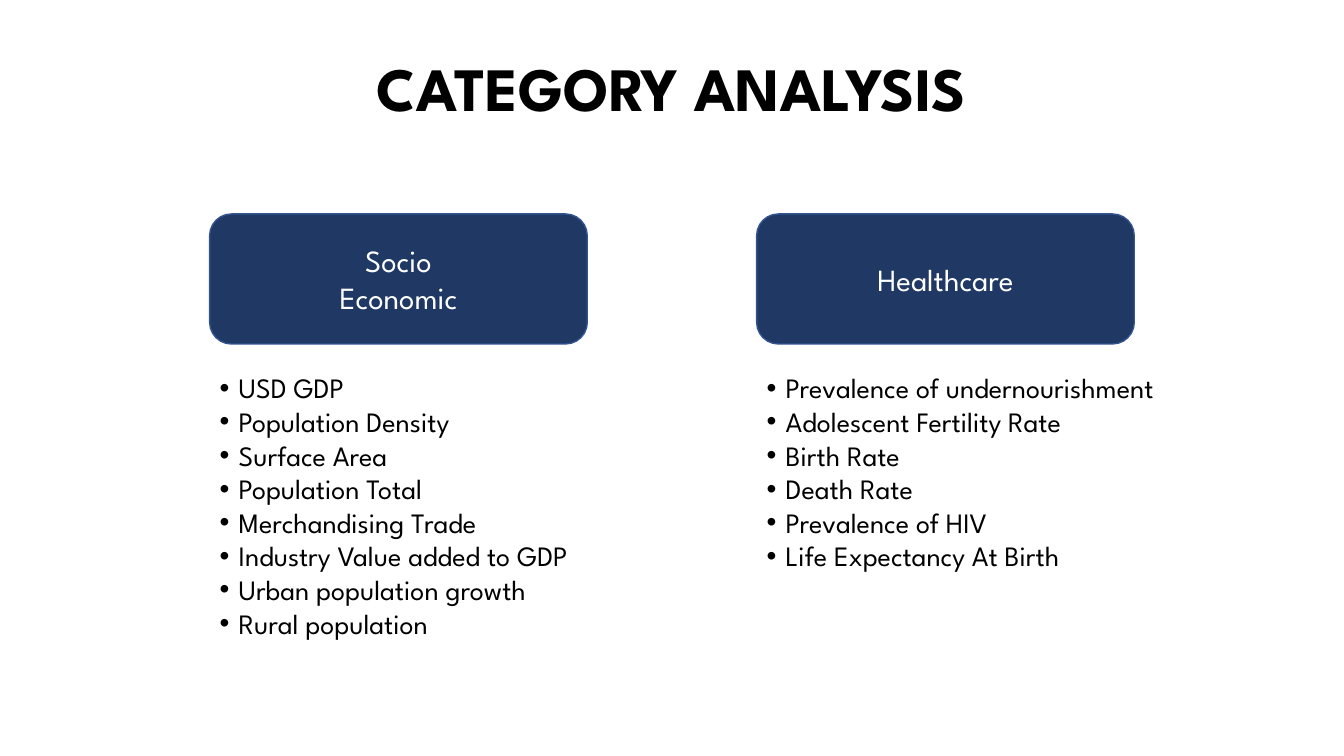
from dataclasses import dataclass

import lxml.etree
import pptx
import pptx.dml.color
import pptx.enum.shapes
import pptx.enum.text
import pptx.oxml.ns
import pptx.slide
import pptx.text.text
import pptx.util

PAGE_WIDTH = pptx.util.Inches(13.33)
PAGE_HEIGHT = pptx.util.Inches(7.5)
FONT = "League Spartan"
BULLET_INDENT = pptx.util.Inches(0.19)

NAVY = pptx.dml.color.RGBColor(0x20, 0x38, 0x64)
EDGE_BLUE = pptx.dml.color.RGBColor(0x32, 0x54, 0x91)
WHITE = pptx.dml.color.RGBColor(0xFF, 0xFF, 0xFF)
BLACK = pptx.dml.color.RGBColor(0, 0, 0)


@dataclass(frozen=True)
class Area:
    """A rectangle in shares of the slide's width and height."""
    left: float
    top: float
    width: float
    height: float

    def lengths(self) -> tuple[int, int, int, int]:
        return (round(self.left * PAGE_WIDTH), round(self.top * PAGE_HEIGHT),
                round(self.width * PAGE_WIDTH), round(self.height * PAGE_HEIGHT))


@dataclass(frozen=True)
class Category:
    heading: str
    indicators: tuple[str, ...]


TITLE_AREA = Area(0, 0.025, 1, 0.193)
FIRST_COLUMN = 0.156
COLUMN_STEP = 0.407
HEADING_TOP, HEADING_WIDTH, HEADING_HEIGHT = 0.283, 0.281, 0.172
LIST_TOP, LIST_WIDTH, LIST_HEIGHT = 0.484, 0.395, 0.417

CATEGORIES = (
    Category("Socio\nEconomic", (
        "USD GDP", "Population Density", "Surface Area", "Population Total",
        "Merchandising Trade", "Industry Value added to GDP",
        "Urban population growth", "Rural population")),
    Category("Healthcare", (
        "Prevalence of undernourishment", "Adolescent Fertility Rate",
        "Birth Rate", "Death Rate", "Prevalence of HIV",
        "Life Expectancy At Birth")),
)


def write_text(frame: pptx.text.text.TextFrame, text: str, size: int,
               color: pptx.dml.color.RGBColor, bold: bool = False,
               centered: bool = False) -> None:
    frame.word_wrap = True
    frame.text = text
    if centered:
        frame.vertical_anchor = pptx.enum.text.MSO_ANCHOR.MIDDLE
    for para in frame.paragraphs:
        if centered:
            para.alignment = pptx.enum.text.PP_ALIGN.CENTER
        for span in para.runs:
            span.font.name = FONT
            span.font.size = pptx.util.Pt(size)
            span.font.bold = bold
            span.font.color.rgb = color


def add_bullet(para: pptx.text.text._Paragraph) -> None:
    properties = para._p.get_or_add_pPr()
    properties.set("marL", str(BULLET_INDENT))
    properties.set("indent", str(-BULLET_INDENT))
    for tag, name, value in (("a:buFont", "typeface", "Arial"), ("a:buChar", "char", "•")):
        element = lxml.etree.SubElement(properties, pptx.oxml.ns.qn(tag))
        element.set(name, value)


def add_title(page: pptx.slide.Slide, text: str) -> None:
    box = page.shapes.add_textbox(*TITLE_AREA.lengths())
    write_text(box.text_frame, text, 44, BLACK, bold=True, centered=True)
    box.text_frame.paragraphs[0].line_spacing = 0.9


def add_heading(page: pptx.slide.Slide, text: str, area: Area) -> None:
    box = page.shapes.add_shape(
        pptx.enum.shapes.MSO_SHAPE.ROUNDED_RECTANGLE, *area.lengths())
    box.shadow.inherit = False
    box.fill.solid()
    box.fill.fore_color.rgb = NAVY
    box.line.color.rgb = EDGE_BLUE
    box.line.width = pptx.util.Pt(1)
    write_text(box.text_frame, text, 22, WHITE, centered=True)


def add_indicators(page: pptx.slide.Slide, indicators: tuple[str, ...], area: Area) -> None:
    box = page.shapes.add_textbox(*area.lengths())
    write_text(box.text_frame, "\n".join(indicators), 20, BLACK)
    for para in box.text_frame.paragraphs:
        add_bullet(para)


def main() -> None:
    deck = pptx.Presentation()
    deck.slide_width, deck.slide_height = PAGE_WIDTH, PAGE_HEIGHT
    page = deck.slides.add_slide(deck.slide_layouts[6])
    add_title(page, "CATEGORY ANALYSIS")
    for column, category in enumerate(CATEGORIES):
        left = FIRST_COLUMN + column * COLUMN_STEP
        add_heading(page, category.heading,
                    Area(left, HEADING_TOP, HEADING_WIDTH, HEADING_HEIGHT))
        add_indicators(page, category.indicators,
                       Area(left, LIST_TOP, LIST_WIDTH, LIST_HEIGHT))
    deck.save("out.pptx")


if __name__ == "__main__":
    main()
